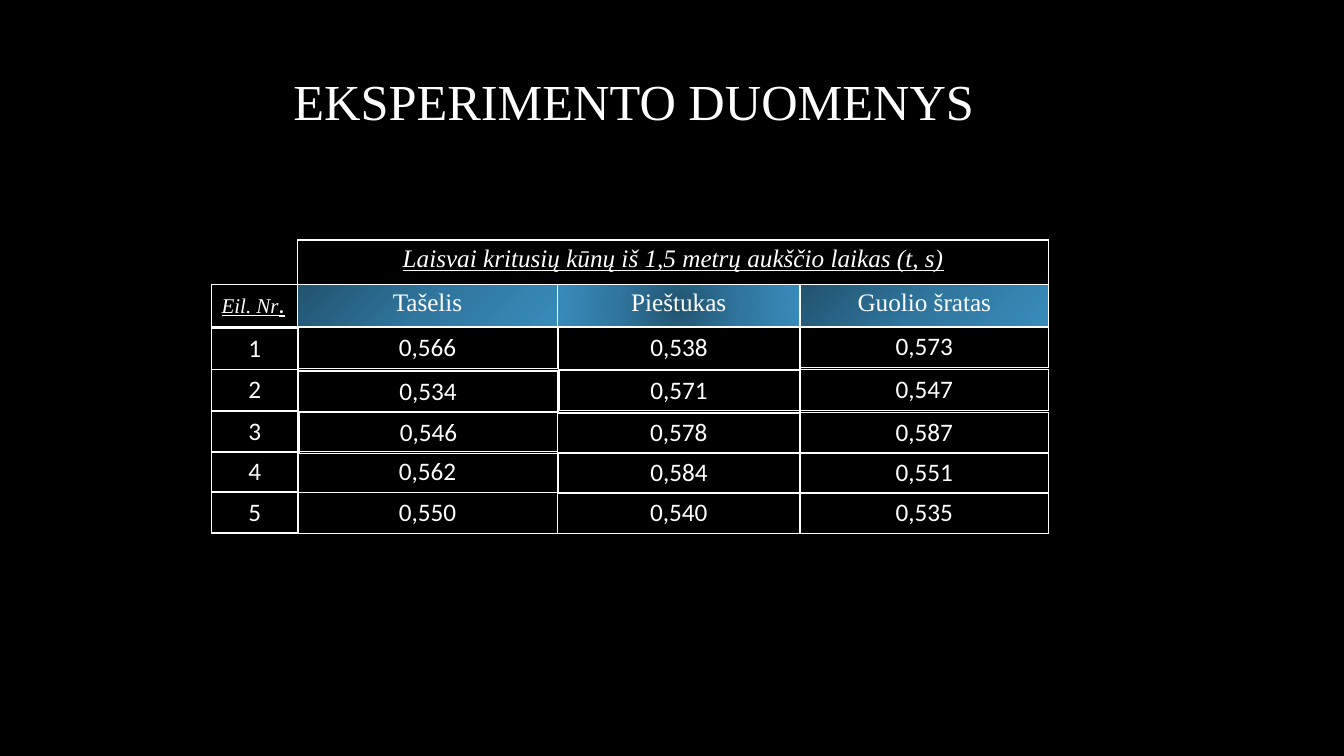
from lxml import etree
from pptx import Presentation
from pptx.dml.color import RGBColor
from pptx.enum.text import MSO_ANCHOR as Anchor, PP_ALIGN as Align
from pptx.oxml import parse_xml
from pptx.oxml.ns import nsdecls, qn
from pptx.util import Cm, Pt

BLACK = RGBColor(0x00, 0x00, 0x00)
WHITE = RGBColor(0xFF, 0xFF, 0xFF)
GRADIENT = [
    (0, RGBColor(0x21, 0x53, 0x6F)),
    (50, RGBColor(0x30, 0x76, 0x9E)),
    (100, RGBColor(0x38, 0x8C, 0xBC)),
]
SERIF, SANS = "Times New Roman", "Calibri"

# Gradient directions of the header cells
DIAGONAL = '<a:lin ang="2700000" scaled="1"/>'
FROM_CENTRE = ('<a:path path="circle"><a:fillToRect l="50000" t="50000" '
               'r="50000" b="50000"/></a:path>')
FROM_CORNER = ('<a:path path="circle"><a:fillToRect r="100000" b="100000"/>'
               '</a:path>')

# Layout in centimetres
CAPTION_TOP, CAPTION_WIDTH, CAPTION_HEIGHT = 6.05, 18.93, 1.12
HEADER_TOP, HEADER_HEIGHT = 7.16, 1.08
ROW_HEIGHT = 1.03

# Blocks of a column: indent, top, texts of the rows
NUMBER_COLUMN = (5.33, 2.18, [
    (0, 8.28, ["1"]), (0, 9.32, ["2"]), (0, 10.36, ["3"]),
    (0, 11.38, ["4"]), (0, 12.4, ["5"])])

# Left, width, heading, gradient direction, blocks
OBJECTS = [
    (7.5, 6.55, "Tašelis", DIAGONAL, [
        (0, 8.26, ["0,566"]), (0.03, 9.35, ["0,534"]),
        (0.05, 10.39, ["0,546"]), (0, 11.38, ["0,562"]),
        (0, 12.42, ["0,550"])]),
    (14.05, 6.11, "Pieštukas", FROM_CENTRE, [
        (0.02, 8.26, ["0,538", "0,571"]), (0.05, 9.32, [""]),
        (0, 10.39, ["0,578"]), (0.02, 11.4, ["0,584"]),
        (0, 12.42, ["0,540"])]),
    (20.16, 6.27, "Guolio šratas", FROM_CORNER, [
        (0, 8.23, ["0,573"]), (0, 9.32, ["0,547"]), (0, 10.39, ["0,587"]),
        (0, 11.4, ["0,551"]), (0, 12.42, ["0,535"])]),
]


def format_run(run, font=SANS, size=18, emphasis=False):
    run.font.name = font
    run.font.size = Pt(size)
    run.font.color.rgb = WHITE
    if emphasis:
        run.font.italic = run.font.underline = True


def add_borders(cell):
    properties = cell._tc.get_or_add_tcPr()
    for side in ("lnL", "lnR", "lnT", "lnB"):
        line = etree.SubElement(properties, qn(f"a:{side}"), w=str(Pt(1)))
        fill = etree.SubElement(line, qn("a:solidFill"))
        etree.SubElement(fill, qn("a:srgbClr"), val=str(WHITE))


def add_gradient(cell, direction):
    stops = "".join(
        f'<a:gs pos="{position * 1000}"><a:srgbClr val="{color}"/></a:gs>'
        for position, color in GRADIENT)
    cell._tc.get_or_add_tcPr().append(parse_xml(
        f'<a:gradFill {nsdecls("a")} rotWithShape="1">'
        f'<a:gsLst>{stops}</a:gsLst>{direction}</a:gradFill>'))


def add_table(slide, left, top, width, height, texts, direction=None, **style):
    """Add a bordered one-column table and return its first paragraph."""
    table = slide.shapes.add_table(
        len(texts), 1, Cm(left), Cm(top), Cm(width),
        Cm(height * len(texts))).table
    table.first_row = table.horz_banding = False
    for row, text in enumerate(texts):
        cell = table.cell(row, 0)
        add_borders(cell)
        if direction:
            add_gradient(cell, direction)
        else:
            cell.fill.background()
        paragraph = cell.text_frame.paragraphs[0]
        paragraph.text = text
        paragraph.alignment = Align.CENTER
        for run in paragraph.runs:
            format_run(run, **style)
    return table.cell(0, 0).text_frame.paragraphs[0]


def add_title(slide, text):
    box = slide.shapes.add_textbox(Cm(1.9), Cm(0.5), Cm(28.15), Cm(4.05))
    frame = box.text_frame
    frame.word_wrap = True
    frame.vertical_anchor = Anchor.MIDDLE
    frame.text = text
    paragraph = frame.paragraphs[0]
    paragraph.alignment = Align.CENTER
    format_run(paragraph.runs[0], SERIF, 36)


def add_column(slide, left, width, blocks):
    for indent, top, texts in blocks:
        # Rows of a taller block share the height of the header row
        height = HEADER_HEIGHT if len(texts) > 1 else ROW_HEIGHT
        add_table(slide, left + indent, top, width - indent, height, texts)


def main():
    presentation = Presentation()
    presentation.slide_width, presentation.slide_height = Cm(33.87), Cm(19.05)
    slide = presentation.slides.add_slide(presentation.slide_layouts[6])
    slide.background.fill.solid()
    slide.background.fill.fore_color.rgb = BLACK

    add_title(slide, "EKSPERIMENTO DUOMENYS")

    # Heading of the row numbers
    left, width, numbers = NUMBER_COLUMN
    heading = add_table(slide, left, HEADER_TOP, width, HEADER_HEIGHT,
                        ["Eil. Nr"], font=SERIF, size=15, emphasis=True)
    heading.alignment = Align.LEFT
    full_stop = heading.add_run()
    full_stop.text = "."
    format_run(full_stop, emphasis=True)

    # Caption across the measured objects
    add_table(slide, OBJECTS[0][0], CAPTION_TOP, CAPTION_WIDTH, CAPTION_HEIGHT,
              ["Laisvai kritusių kūnų iš 1,5 metrų aukščio laikas (t, s)"],
              font=SERIF, emphasis=True)

    # Row numbers
    add_column(slide, left, width, numbers)

    # Headings, then measured times by object
    for left, width, name, direction, _ in OBJECTS:
        add_table(slide, left, HEADER_TOP, width, HEADER_HEIGHT, [name],
                  direction, font=SERIF)
    for left, width, _, _, blocks in OBJECTS:
        add_column(slide, left, width, blocks)

    presentation.save("out.pptx")


if __name__ == "__main__":
    main()
